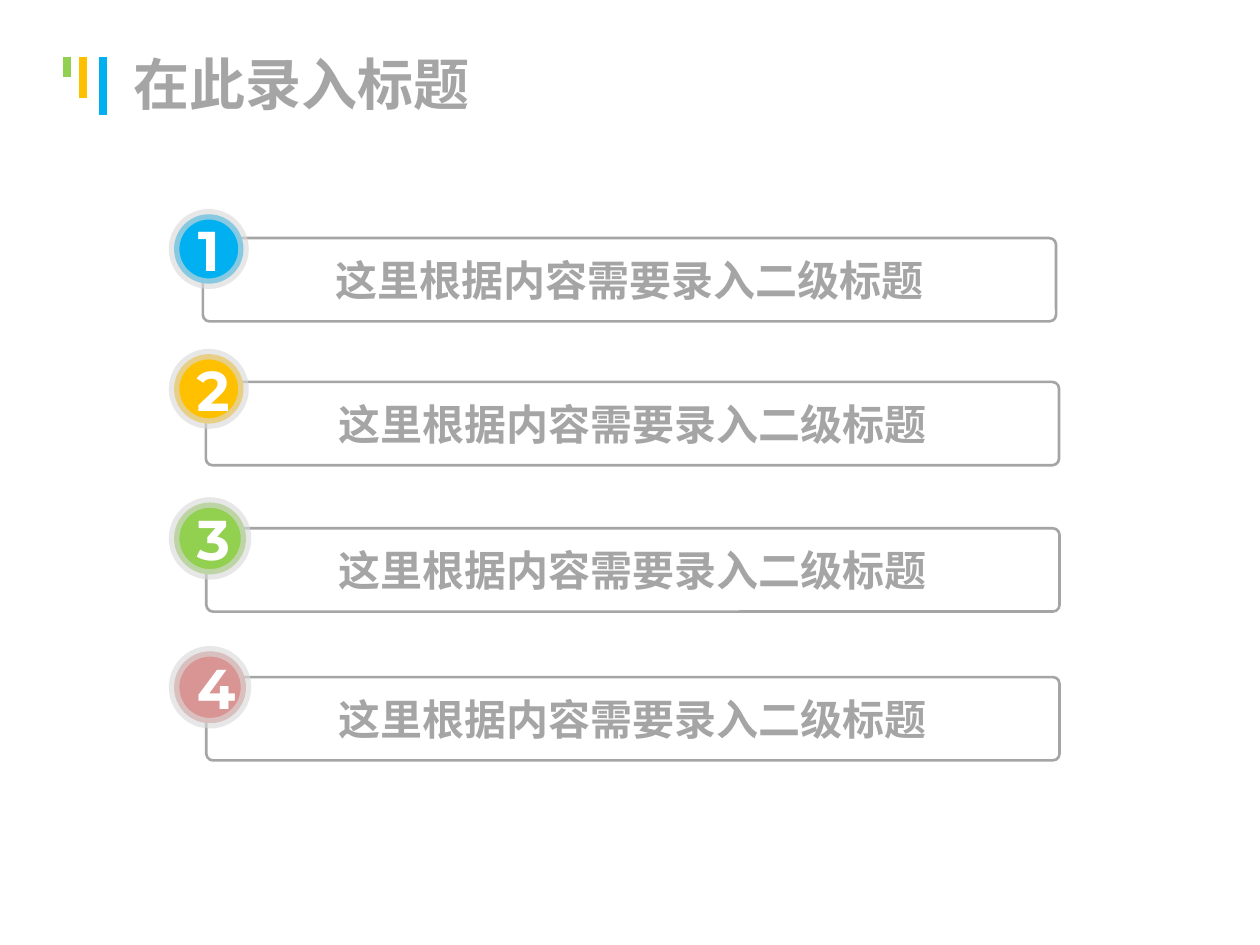
"""Build a slide with four numbered subheading bars."""
from dataclasses import dataclass

from lxml import etree
from pptx import Presentation
from pptx.dml.color import RGBColor
from pptx.enum import shapes, text
from pptx.oxml import ns
from pptx.util import Cm, Pt


@dataclass(frozen=True)
class Theme:
    blue: str = "00B0F0"
    amber: str = "FFC000"
    green: str = "92D050"
    rose: str = "D99593"
    gray: str = "A5A5A5"
    ring: str = "D9D9D9"
    white: str = "FFFFFF"
    ring_opacity: int = 61
    heading_font: str = "Noto Sans CJK SC"
    number_font: str = "Montserrat"
    title_size: int = 32
    subheading_size: int = 24
    number_size: int = 32
    bar_width: float = 4.5
    box_line: float = 1.5
    ring_width: float = 6


THEME = Theme()
SUBHEADING = "这里根据内容需要录入二级标题"


def set_line(line, color, width):
    line.color.rgb = RGBColor.from_string(color)
    line.width = Pt(width)


def write_text(shape, content, font_name, size, color, alignment):
    frame = shape.text_frame
    frame.vertical_anchor = text.MSO_ANCHOR.MIDDLE
    paragraph = frame.paragraphs[0]
    paragraph.text = content
    paragraph.alignment = alignment
    font = paragraph.font
    font.name = font_name
    font.size = Pt(size)
    font.bold = True
    font.color.rgb = RGBColor.from_string(color)
    properties = paragraph._p.pPr.find(ns.qn("a:defRPr"))
    etree.SubElement(properties, ns.qn("a:ea"), typeface=font_name)


def add_bars(slide):
    group = slide.shapes.add_group_shape()
    top = Cm(1.14)
    for left, bottom, color in (
        (2.08, 2.31, THEME.blue),
        (1.68, 1.98, THEME.amber),
        (1.35, 1.55, THEME.green),
    ):
        bar = group.shapes.add_connector(
            shapes.MSO_CONNECTOR.STRAIGHT, Cm(left), top, Cm(left), Cm(bottom))
        set_line(bar.line, color, THEME.bar_width)
        etree.SubElement(bar._element.spPr, ns.qn("a:effectLst"))


def add_title(slide, content):
    title = slide.shapes.add_textbox(Cm(2.44), Cm(0.08), Cm(22.86), Cm(3.18))
    title.text_frame.word_wrap = True
    write_text(title, content, THEME.heading_font, THEME.title_size,
               THEME.gray, text.PP_ALIGN.LEFT)


def add_box(group, left, top):
    box = group.shapes.add_shape(
        shapes.MSO_SHAPE.ROUNDED_RECTANGLE, Cm(left), Cm(top), Cm(17.2), Cm(1.68))
    box.adjustments[0] = 0.08
    box.shadow.inherit = False
    box.fill.background()
    set_line(box.line, THEME.gray, THEME.box_line)
    box.text_frame.word_wrap = False
    write_text(box, SUBHEADING, THEME.heading_font, THEME.subheading_size,
               THEME.gray, text.PP_ALIGN.CENTER)


def add_badge(group, number, top, diameter, color):
    badge = group.shapes.add_shape(
        shapes.MSO_SHAPE.OVAL, Cm(3.51), Cm(top), Cm(diameter), Cm(diameter))
    badge.shadow.inherit = False
    badge.fill.solid()
    badge.fill.fore_color.rgb = RGBColor.from_string(color)
    set_line(badge.line, THEME.ring, THEME.ring_width)
    ring_color = badge.line._ln.find(".//" + ns.qn("a:srgbClr"))
    etree.SubElement(ring_color, ns.qn("a:alpha"), val=str(THEME.ring_opacity * 1000))
    badge.text_frame.word_wrap = True
    write_text(badge, str(number), THEME.number_font, THEME.number_size,
               THEME.white, text.PP_ALIGN.CENTER)


def main():
    presentation = Presentation()
    presentation.slide_width, presentation.slide_height = Cm(25.4), Cm(19.05)
    slide = presentation.slides.add_slide(presentation.slide_layouts[6])
    add_bars(slide)
    add_title(slide, "在此录入标题")
    rows = (
        (4.09, 4.8, 4.32, 1.4, THEME.blue),
        (4.15, 7.7, 7.14, 1.4, THEME.amber),
        (4.16, 10.65, 10.13, 1.45, THEME.green),
        (4.16, 13.65, 13.13, 1.45, THEME.rose),
    )
    for number, (box_left, box_top, badge_top, diameter, color) in enumerate(rows, 1):
        group = slide.shapes.add_group_shape()
        add_box(group, box_left, box_top)
        add_badge(group, number, badge_top, diameter, color)
    presentation.save("out.pptx")


if __name__ == "__main__":
    main()
